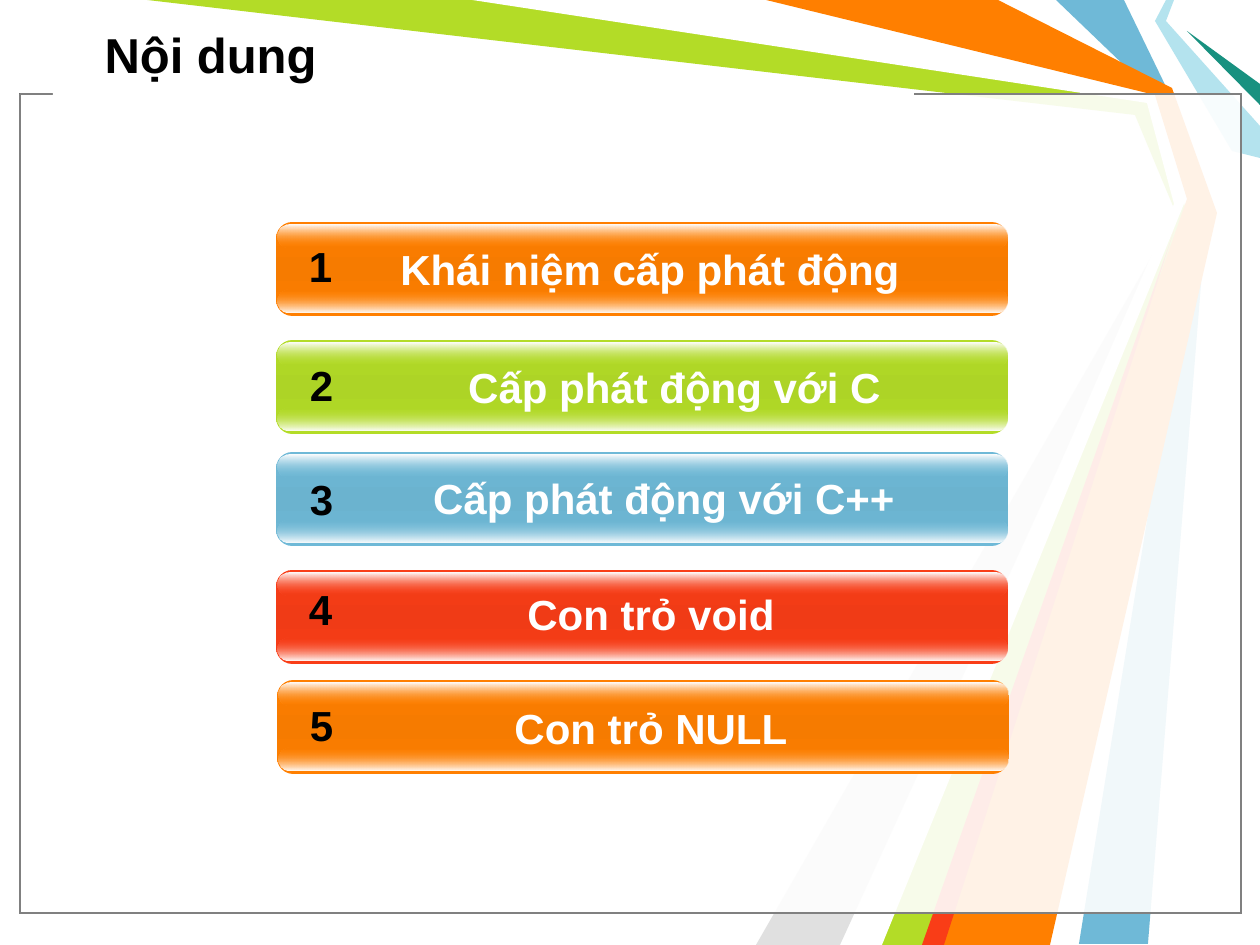
from lxml import etree
from pptx import Presentation
from pptx import util as u
from pptx.dml.color import RGBColor
from pptx.enum import shapes, text
from pptx.oxml import ns

SCALE = 914400 / 126
FONT = "Arial"
BLACK = RGBColor(0x00, 0x00, 0x00)
WHITE = RGBColor(0xFF, 0xFF, 0xFF)
GRAY = RGBColor(0x80, 0x80, 0x80)
SILVER = RGBColor(0xE0, 0xE0, 0xE0)
SKY = RGBColor(0xB4, 0xE3, 0xEE)
TEAL = RGBColor(0x18, 0x91, 0x80)
ORANGE = RGBColor(0xFF, 0x7F, 0x00)
GREEN = RGBColor(0xB3, 0xDC, 0x27)
BLUE = RGBColor(0x6F, 0xB9, 0xD7)
RED = RGBColor(0xF9, 0x3D, 0x17)
MIDDLE = {
    ORANGE: RGBColor(0xF6, 0x7B, 0x00),
    GREEN: RGBColor(0xAD, 0xD4, 0x26),
    BLUE: RGBColor(0x6B, 0xB3, 0xCF),
    RED: RGBColor(0xF0, 0x3B, 0x16),
}

RIBBONS = [
    (BLUE, [(1124, 0), (1171, 97), (1207, 210), (1148, 944), (1079, 944),
            (1197, 210), (1155, 95), (1056, 0)]),
    (GREEN, [(147, 0), (483, 0), (1152, 98), (1187, 213), (935, 945),
             (872, 945), (1178, 218), (1135, 115)]),
    (SILVER, [(840, 945), (1168, 228), (756, 945)]),
    (WHITE, [(472, 0), (1147, 103), (1174, 204), (850, 945), (882, 945),
             (1186, 199), (1155, 95), (756, 0)]),
    (SKY, [(1166, 0), (1155, 21), (1232, 151), (1260, 158), (1260, 126),
           (1166, 21), (1174, 0)]),
    (TEAL, [(1260, 105), (1187, 31), (1260, 84)]),
    (ORANGE, [(766, 0), (998, 0), (1172, 88), (1217, 213), (1050, 945),
              (924, 945), (1187, 199), (1155, 95)]),
    (RED, [(922, 945), (1174, 231), (944, 945)]),
]

# bar left and top, colour, number left and top, label left, top and width, label
ITEMS = [
    ((276, 222), ORANGE, (294, 234), (340, 237, 620), "Khái niệm cấp phát động"),
    ((276, 340), GREEN, (295, 353), (341, 355, 667), "Cấp phát động với C"),
    ((276, 452), BLUE, (295, 467), (354, 466, 620), "Cấp phát động với C++"),
    ((276, 570), RED, (294, 577), (341, 582, 620), "Con trỏ void"),
    ((277, 680), ORANGE, (295, 693), (341, 696, 620), "Con trỏ NULL"),
]


def px(value):
    return u.Emu(round(value * SCALE))


def box(*lengths):
    return [px(length) for length in lengths]


def add_ribbon(slide, color, points):
    builder = slide.shapes.build_freeform(*points[0], scale=SCALE)
    builder.add_line_segments(points[1:], close=True)
    ribbon = builder.convert_to_shape()
    ribbon.shadow.inherit = False
    ribbon.fill.solid()
    ribbon.fill.fore_color.rgb = color
    ribbon.line.fill.background()


def add_panel(slide, bounds, line_color=None, opacity=100):
    panel = slide.shapes.add_shape(shapes.MSO_SHAPE.RECTANGLE, *box(*bounds))
    panel.shadow.inherit = False
    panel.fill.solid()
    panel.fill.fore_color.rgb = WHITE
    color = panel.fill._xPr.find(".//" + ns.qn("a:srgbClr"))
    etree.SubElement(color, ns.qn("a:alpha"), val=str(opacity * 1000))
    if line_color is None:
        panel.line.fill.background()
    else:
        panel.line.color.rgb = line_color
        panel.line.width = u.Pt(0.75)


def set_gradient(shape, stops):
    shape.fill.gradient()
    shape.fill.gradient_angle = 270
    stop_list = shape.fill._fill._gradFill.find(ns.qn("a:gsLst"))
    for old_stop in list(stop_list):
        stop_list.remove(old_stop)
    for position, color, opacity in stops:
        stop = etree.SubElement(stop_list, ns.qn("a:gs"), pos=str(position * 1000))
        rgb = etree.SubElement(stop, ns.qn("a:srgbClr"), val=str(color))
        etree.SubElement(rgb, ns.qn("a:alpha"), val=str(opacity * 1000))


def add_rounded(group, bounds, corner, stops):
    shape = group.shapes.add_shape(shapes.MSO_SHAPE.ROUNDED_RECTANGLE, *box(*bounds))
    shape.adjustments[0] = corner
    shape.shadow.inherit = False
    shape.line.fill.background()
    set_gradient(shape, stops)


def add_bar(slide, left, top, color):
    group = slide.shapes.add_group_shape()
    add_rounded(group, (left, top, 732, 94), 0.175,
                [(0, color, 100), (50, MIDDLE[color], 100), (100, color, 100)])
    add_rounded(group, (left + 2, top + 68, 729, 23), 0.5,
                [(0, color, 0), (100, WHITE, 100)])
    add_rounded(group, (left + 2, top + 3, 729, 23), 0.5,
                [(0, WHITE, 100), (100, color, 0)])


def format_paragraph(paragraph, size, color, alignment):
    paragraph.alignment = alignment
    font = paragraph.font
    font.name = FONT
    font.size = u.Pt(size)
    font.bold = True
    font.color.rgb = color


def add_label(slide, bounds, words, color):
    label = slide.shapes.add_textbox(*box(*bounds))
    frame = label.text_frame
    frame.word_wrap = True
    frame.text = words
    format_paragraph(frame.paragraphs[0], 24, color, text.PP_ALIGN.CENTER)


def add_title(slide, words):
    title = slide.shapes.title
    title.left, title.top, title.width, title.height = box(92, 10, 1148, 87)
    frame = title.text_frame
    frame.text = words
    frame.vertical_anchor = text.MSO_ANCHOR.MIDDLE
    format_paragraph(frame.paragraphs[0], 28, BLACK, text.PP_ALIGN.LEFT)
    slide.shapes._spTree.append(title._element)


def main():
    presentation = Presentation()
    presentation.slide_width, presentation.slide_height = box(1260, 945)
    slide = presentation.slides.add_slide(presentation.slide_layouts[5])
    for color, points in RIBBONS:
        add_ribbon(slide, color, points)
    for line_color in (BLACK, GRAY):
        add_panel(slide, (20, 94, 1221, 819), line_color, 69)
    add_panel(slide, (53, 93, 861, 21))
    add_title(slide, "Nội dung")
    for number, (corner, color, spot, (left, top, width), words) in enumerate(ITEMS, 1):
        add_bar(slide, *corner, color)
        add_label(slide, (left, top, width, 63), words, WHITE)
        add_label(slide, (*spot, 53, 63), str(number), BLACK)
    presentation.save("out.pptx")


if __name__ == "__main__":
    main()
